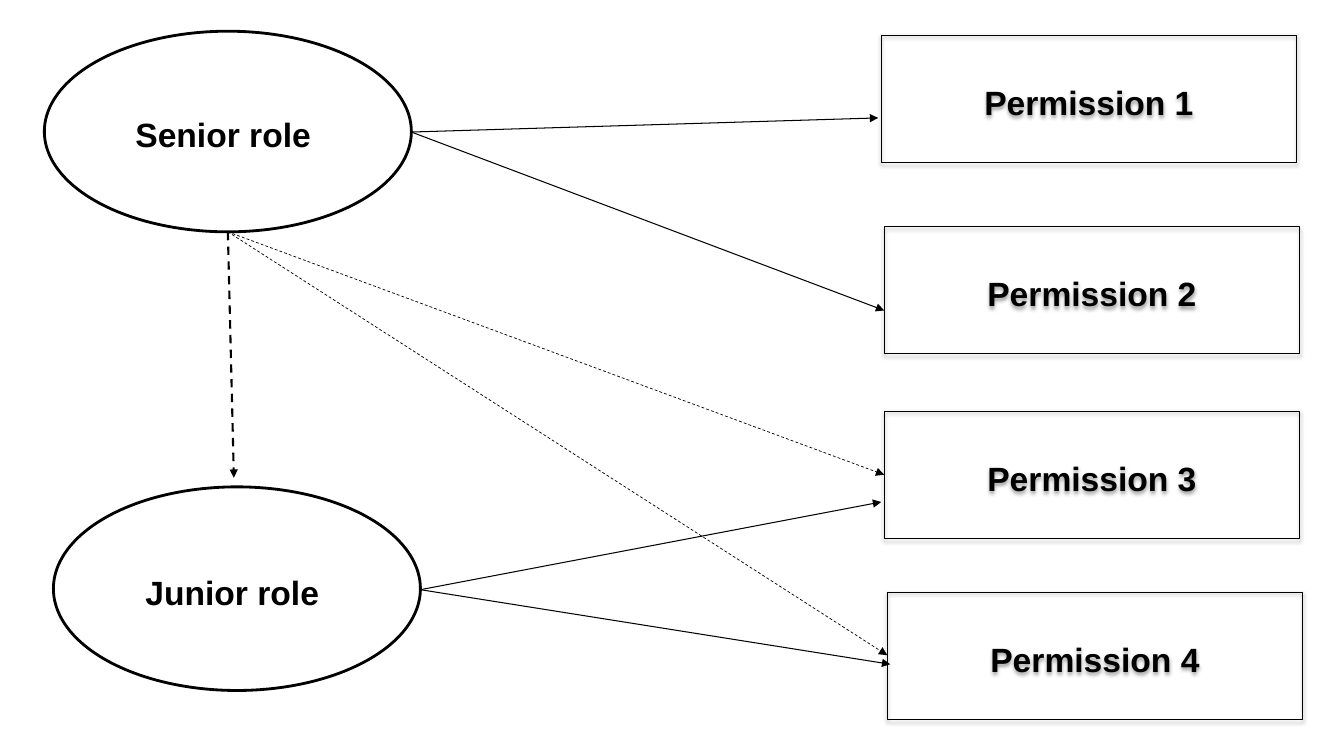
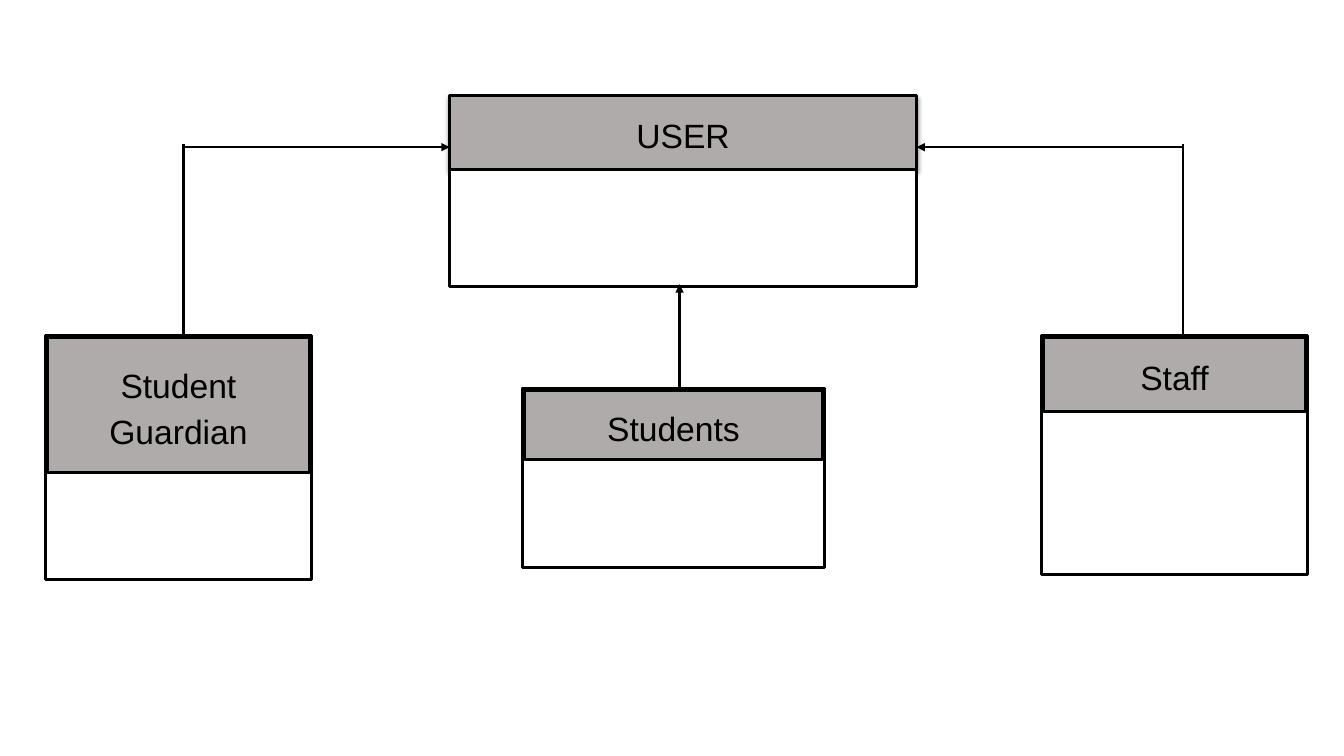
from dataclasses import dataclass

import lxml.etree
import pptx
import pptx.dml.color
import pptx.enum.dml
import pptx.enum.shapes
import pptx.enum.text
import pptx.oxml.ns
import pptx.shapes.autoshape
import pptx.slide
import pptx.util

Inches = pptx.util.Inches
Pt = pptx.util.Pt
qn = pptx.oxml.ns.qn
RECT = pptx.enum.shapes.MSO_SHAPE.RECTANGLE
OVAL = pptx.enum.shapes.MSO_SHAPE.OVAL

COLORS = {"ink": "000000", "header": "AFABAB", "paper": "FFFFFF"}
FONT = "Arial"


@dataclass
class Box:
    left: float
    top: float
    width: float
    height: float
    text: str = ""
    kind: pptx.enum.shapes.MSO_SHAPE = RECT
    fill: str = ""
    line: float = 2
    bold: bool = False
    shadow: bool = False
    space_after: float = 10


@dataclass
class Link:
    start: tuple[float, float]
    end: tuple[float, float]
    width: float = 0.75
    dashed: bool = False
    arrow: bool = True


def rgb(name: str) -> pptx.dml.color.RGBColor:
    return pptx.dml.color.RGBColor.from_string(COLORS[name])


def add_shadow(sp: pptx.shapes.autoshape.Shape) -> None:
    effects = sp.element.spPr.find(qn("a:effectLst"))
    outer = lxml.etree.SubElement(
        effects, qn("a:outerShdw"), blurRad=str(Pt(3.1)), dist=str(Pt(1.6)),
        dir="5400000", algn="t", rotWithShape="0")
    color = lxml.etree.SubElement(outer, qn("a:srgbClr"), val=COLORS["ink"])
    lxml.etree.SubElement(color, qn("a:alpha"), val="38000")


def add_box(s: pptx.slide.Slide, box: Box) -> None:
    sp = s.shapes.add_shape(box.kind, Inches(box.left), Inches(box.top),
                            Inches(box.width), Inches(box.height))
    if box.fill:
        sp.fill.solid()
        sp.fill.fore_color.rgb = rgb(box.fill)
    else:
        sp.fill.background()
    sp.line.color.rgb = rgb("ink")
    sp.line.width = Pt(box.line)
    sp.shadow.inherit = False
    if box.shadow:
        add_shadow(sp)
    if not box.text:
        return
    tf = sp.text_frame
    tf.word_wrap = True
    tf.vertical_anchor = pptx.enum.text.MSO_ANCHOR.MIDDLE
    tf.text = box.text
    for p in tf.paragraphs:
        p.alignment = pptx.enum.text.PP_ALIGN.CENTER
        p.line_spacing = 1.15
        p.space_after = Pt(box.space_after)
        p.font.name = FONT
        p.font.size = Pt(24)
        p.font.bold = box.bold
        p.font.color.rgb = rgb("ink")


def add_link(s: pptx.slide.Slide, link: Link) -> None:
    ends = [Inches(v) for v in (*link.start, *link.end)]
    cn = s.shapes.add_connector(pptx.enum.shapes.MSO_CONNECTOR.STRAIGHT, *ends)
    cn.line.color.rgb = rgb("ink")
    cn.line.width = Pt(link.width)
    if link.dashed:
        cn.line.dash_style = pptx.enum.dml.MSO_LINE.DASH
    spPr = cn.element.spPr
    if link.arrow:
        lxml.etree.SubElement(spPr.find(qn("a:ln")), qn("a:tailEnd"), type="triangle")
    lxml.etree.SubElement(spPr, qn("a:effectLst"))


def add_diagram(prs: pptx.presentation.Presentation, boxes: list[Box],
                links: list[Link]) -> None:
    s = prs.slides.add_slide(prs.slide_layouts[6])
    for box in boxes:
        add_box(s, box)
    for link in links:
        add_link(s, link)


def entity(body: tuple[float, float, float, float], text: str, header_height: float,
           space_after: float = 10) -> list[Box]:
    left, top, width, height = body
    return [Box(left, top, width, height, fill="paper"),
            Box(left + 0.02, top + 0.02, width - 0.04, header_height, text,
                fill="header", space_after=space_after)]


prs = pptx.Presentation()
prs.slide_width = Inches(13.33)
prs.slide_height = Inches(7.5)

permission_corners = [(8.74, 0.35), (8.77, 2.25), (8.77, 4.08), (8.8, 5.88)]
permissions = [Box(left, top, 4.12, 1.26, f"Permission {n}", line=0.75, bold=True, shadow=True)
               for n, (left, top) in enumerate(permission_corners, 1)]
roles = [Box(0.44, 0.31, 3.64, 1.99, "Senior role ", OVAL, bold=True),
         Box(0.53, 4.83, 3.64, 2.02, "Junior role ", OVAL, bold=True)]
senior_side, senior_foot, junior_side = (4.08, 1.31), (2.26, 2.3), (4.17, 5.85)
add_diagram(prs, permissions + roles, [
    Link(senior_foot, (2.32, 4.74), 1.5, dashed=True),
    Link(senior_side, (8.71, 1.17)),
    Link(senior_side, (8.77, 3.08)),
    Link(junior_side, (8.83, 6.59)),
    Link(junior_side, (8.74, 4.98)),
    Link(senior_foot, (8.77, 4.71), 0.5, dashed=True),
    Link(senior_foot, (8.8, 6.5), 0.5, dashed=True),
])

user = [Box(4.46, 0.95, 4.63, 0.73, "USER", fill="header", line=2.25, shadow=True),
        Box(4.46, 1.68, 4.63, 1.16, fill="paper")]
subtypes = [*entity((5.18, 3.85, 3, 1.78), "Students", 0.69),
            *entity((0.45, 3.33, 2.64, 2.42), "Student\nGuardian", 1.34, space_after=0),
            *entity((10.33, 3.33, 2.64, 2.37), "Staff", 0.73)]
elbows = [link for x, user_edge in ((11.73, 9.09), (1.82, 4.46))
          for link in (Link((x, 3.33), (x, 1.43), 1.5, arrow=False),
                       Link((x, 1.46), (user_edge, 1.46), 1.5))]
add_diagram(prs, subtypes + user, elbows + [Link((6.74, 3.85), (6.74, 2.82), 1.5)])

prs.save("out.pptx")
